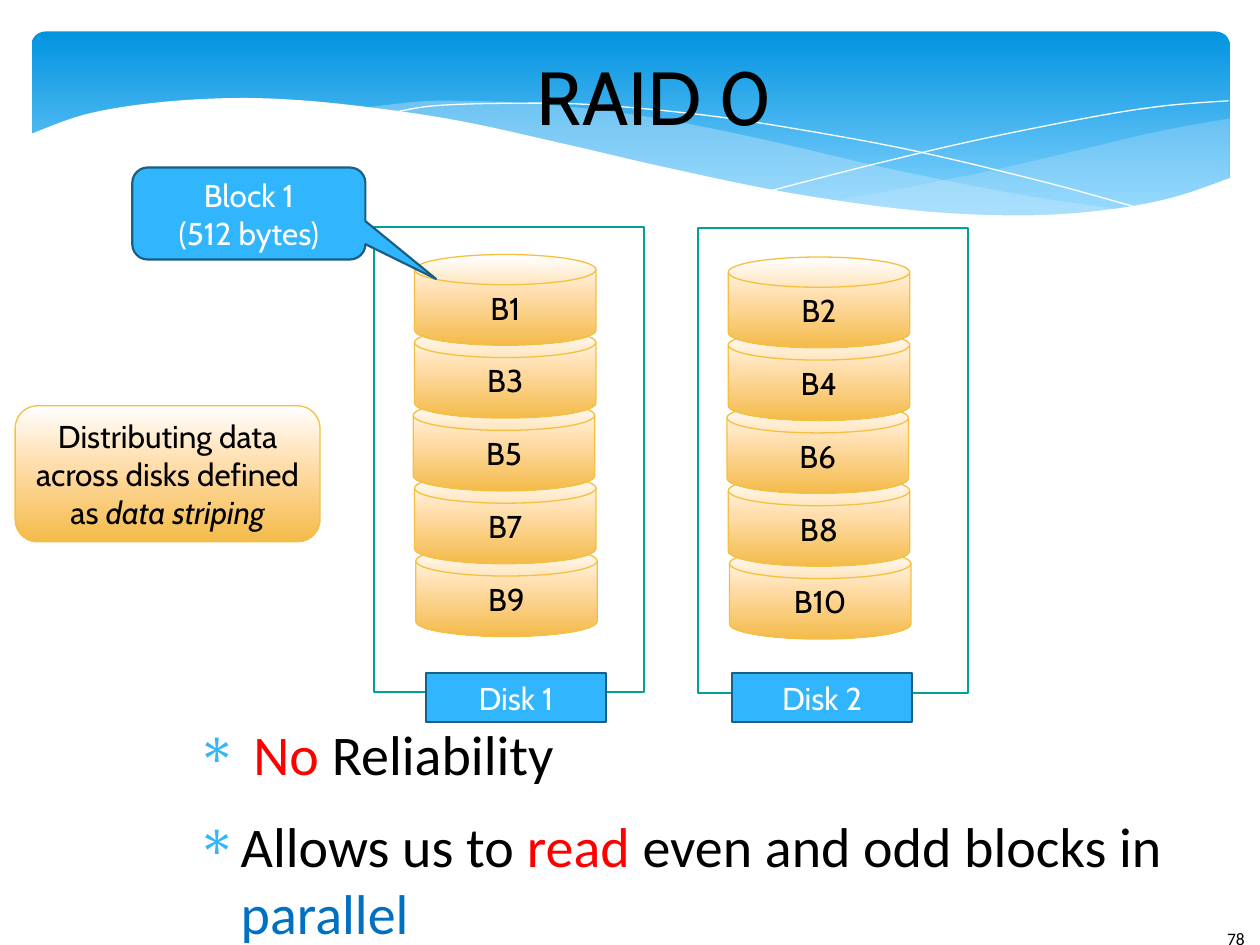
from dataclasses import dataclass
from lxml.etree import SubElement
from pptx import Presentation
from pptx.dml.color import RGBColor
from pptx.enum.shapes import MSO_SHAPE as Kind
from pptx.enum.text import MSO_ANCHOR, PP_ALIGN
from pptx.oxml.ns import qn
from pptx.util import Inches, Pt


@dataclass(frozen=True)
class Theme:
    """Colours, fonts and type sizes of the slide."""
    black: str = "000000"
    white: str = "FFFFFF"
    red: str = "FF0000"
    blue: str = "0070C0"
    sky: str = "31B6FD"
    navy: str = "195F84"
    teal: str = "049E9B"
    gold: str = "F5C040"
    mist: str = "C6E7FC"
    amber: tuple = ((0, "FFFFFF"), (44, "FFDDAA"), (100, "F4BB4A"))
    band: tuple = ((0, "0293E0"), (90, "83D3FE"))
    head: str = "Cabin"
    body: str = "Calibri"
    title: float = 42.9
    list: float = 32
    label: float = 18
    page: float = 10


T = Theme()
COLS, ROWS = 100, 75
WIDE, HIGH = Inches(10), Inches(7.5)


def grid(col, row):
    """Turn columns and rows into slide lengths."""
    return round(WIDE * col / COLS), round(HIGH * row / ROWS)


def frame(box):
    """Turn a grid box into left, top, width and height."""
    return *grid(*box[:2]), *grid(*box[2:])


def fade(shape, stops):
    """Fill a shape with a gradient running downwards."""
    shape.fill.gradient()
    shape.fill.gradient_angle = 270
    bag = shape._element.spPr.find(".//" + qn("a:gsLst"))
    for old in list(bag):
        bag.remove(old)
    for pos, tint in stops:
        stop = SubElement(bag, qn("a:gs"), pos=str(pos * 1000))
        SubElement(stop, qn("a:srgbClr"), val=tint)


def paint(shape, fill=None, line=None, width=0, alpha=None):
    """Set the fill, outline and shadow of a shape."""
    shape.shadow.inherit = False
    if isinstance(fill, tuple):
        fade(shape, fill)
    elif fill:
        shape.fill.solid()
        shape.fill.fore_color.rgb = RGBColor.from_string(fill)
    else:
        shape.fill.background()
    if alpha:
        tint = shape._element.spPr.find(qn("a:solidFill"))[0]
        SubElement(tint, qn("a:alpha"), val=str(alpha * 1000))
    if line:
        shape.line.color.rgb = RGBColor.from_string(line)
        shape.line.width = Pt(width)
    else:
        shape.line.fill.background()


def style(font, size, face, tint):
    """Set size, face and colour of a font."""
    font.size, font.name = Pt(size), face
    font.color.rgb = RGBColor.from_string(tint)


def write(shape, lines, size, face, tint, align=PP_ALIGN.CENTER):
    """Write one paragraph per line."""
    text = shape.text_frame
    text.word_wrap = True
    text.vertical_anchor = MSO_ANCHOR.MIDDLE
    text.text = "\n".join(lines)
    for par in text.paragraphs:
        par.alignment = align
        style(par.font, size, face, tint)


def block(slide, kind, box, fill, line=None, width=0, lines=(), tint=T.black, adj=()):
    """Add a preset shape with an optional label."""
    shape = slide.shapes.add_shape(kind, *frame(box))
    for i, val in enumerate(adj):
        shape.adjustments[i] = val
    paint(shape, fill, line, width)
    if lines:
        write(shape, lines, T.label, T.head, tint)
    return shape


def label(slide, box, margin=None):
    """Add a wrapping text box."""
    shape = slide.shapes.add_textbox(*frame(box))
    text = shape.text_frame
    text.word_wrap = True
    if margin is not None:
        text.margin_left = text.margin_right = margin
        text.margin_top = text.margin_bottom = margin
    return shape


def bend(knots, steps=6):
    """Sample a smooth curve through the knots."""
    ends = [knots[0], *knots, knots[-1]]
    path = [knots[0]]
    for a, b, c, d in zip(ends, ends[1:], ends[2:], ends[3:]):
        for t in (i / steps for i in range(1, steps + 1)):
            path.append(tuple(
                q + t / 2 * (r - p + t * (2 * p - 5 * q + 4 * r - s + t * (3 * q - p - 3 * r + s)))
                for p, q, r, s in zip(a, b, c, d)))
    return path


def wave(slide, *curves, fill=None, line=None, alpha=None):
    """Draw smooth curves joined at corners."""
    first, *rest = [grid(*spot) for knots in curves for spot in bend(knots)]
    pen = slide.shapes.build_freeform(*first)
    pen.add_line_segments(rest, close=fill is not None)
    paint(pen.convert_to_shape(), fill, line, 0, alpha)


def banner(slide):
    """Draw the blue band and its waves."""
    block(slide, Kind.ROUNDED_RECTANGLE, (2.5, 2.5, 95.1, 15.6), T.band, adj=[0.071])
    wave(slide,
         [(97.6, 9.4), (92.1, 10.4), (86.1, 11.8), (77.9, 13.7), (66.1, 16)],
         [(66.1, 16), (71.9, 16.7), (76.9, 17.1), (81.4, 17.2), (86.3, 17),
          (90.5, 16.3), (94.2, 15.4), (97.6, 14.1)], fill=T.mist, alpha=29)
    wave(slide,
         [(89.3, 16.7), (80.7, 15.4), (70.6, 13.4), (62.9, 11.6), (55.5, 10),
          (48.9, 8.9), (42, 8.2), (36.1, 8), (32.8, 8.1), (28.6, 8.6)],
         [(28.6, 8.6), (36.2, 9.7), (44.9, 11.6), (56.6, 14.3), (65, 15.8),
          (72.2, 16.8), (78.5, 17.2), (83.8, 17.2), (89.3, 16.7)], fill=T.mist, alpha=40)
    wave(slide, [(30.9, 9), (34.4, 8.4), (40.1, 8.2), (46.9, 8.3), (55.6, 9.1),
                 (63.6, 10.3), (72.7, 12), (83.1, 14.5), (90.7, 16.6)], line=T.white)
    wave(slide, [(61.3, 15.1), (69.5, 13), (77.6, 11.1), (86.6, 9.3),
                 (92.4, 8.4), (97.5, 8)], line=T.white)
    wave(slide,
         [(97.7, 14.1), (93, 15.7), (87.5, 16.7), (80.9, 17.1), (72.6, 16.7),
          (62.6, 15.3), (52.9, 13.3), (44.7, 11.4), (36.5, 9.6), (29.2, 8.5),
          (23, 7.9), (17.7, 7.8), (11.9, 8.2), (6.7, 9.1), (2.3, 10.7)],
         [(2.3, 22.4), (97.7, 22.4)], fill=T.white)


def disk(slide, left, top, first):
    """Stack five blocks, bottom one first."""
    nudge = (0, 0, -0.1, 0, 0.1)
    for row in reversed(range(5)):
        block(slide, Kind.FLOWCHART_MAGNETIC_DISK,
              (left + nudge[row], top + 5.78 * row, 14.4, 7.2),
              T.amber, T.gold, 0.75, [f"B{first + 2 * row}"])


def point(text, par, runs):
    """Write one bulleted paragraph of coloured runs."""
    prop = par._p.get_or_add_pPr()
    prop.set("marL", str(Inches(0.47)))
    prop.set("indent", str(Inches(-0.35)))
    SubElement(SubElement(prop, qn("a:buClr")), qn("a:srgbClr"), val=T.sky)
    SubElement(prop, qn("a:buFont"), typeface="Symbol")
    SubElement(prop, qn("a:buChar"), char="∗")
    par.space_after = Pt(14.1)
    style(par.font, T.list, T.body, T.black)
    for words, tint in runs:
        if words == "\n":
            par.add_line_break()
            continue
        run = par.add_run()
        run.text = words
        style(run.font, T.list, T.body, tint)


def points(slide):
    """Add the bulleted list."""
    text = label(slide, (14.4, 57.1, 87.6, 15.1), 0).text_frame
    point(text, text.paragraphs[0], [(" ", T.black), ("No", T.red), (" Reliability", T.black)])
    point(text, text.add_paragraph(), [
        ("Allows us to ", T.black), ("read", T.red), (" even and odd blocks in ", T.black),
        ("\n", None), ("parallel", T.blue)])


def main():
    """Build and save the slide."""
    deck = Presentation()
    deck.slide_width, deck.slide_height = WIDE, HIGH
    slide = deck.slides.add_slide(deck.slide_layouts[6])
    banner(slide)
    write(label(slide, (96.4, 72.5, 6.1, 4)), ["78"], T.page, T.body, T.black, PP_ALIGN.LEFT)
    for num, (case, stack, tag, top) in enumerate(
            [(29.7, 32.9, 33.8, 18), (55.4, 57.8, 58.1, 18.1)], 1):
        block(slide, Kind.FLOWCHART_PROCESS, (case, top, 21.4, 36.9), T.white, T.teal, 1.25)
        disk(slide, stack, 20 + 0.2 * num, num)
        block(slide, Kind.FLOWCHART_PROCESS, (tag, 53.4, 14.3, 3.9),
              T.sky, T.navy, 1.25, [f"Disk {num}"], T.white)
    write(label(slide, (11.4, 2.5, 81.1, 10.2), 0), ["RAID 0"], T.title, T.head, T.black)
    points(slide)
    block(slide, Kind.ROUNDED_RECTANGULAR_CALLOUT, (10.5, 13.3, 18.5, 7.3), T.sky, T.navy,
          1.25, ["Block 1", "(512 bytes)"], T.white, [0.803, 0.711, 0.167])
    note = block(slide, Kind.ROUNDED_RECTANGLE, (1.2, 32.2, 24.2, 10.8), T.amber, T.gold,
                 0.75, ["Distributing data across disks defined as "])
    run = note.text_frame.paragraphs[0].add_run()
    run.text, run.font.italic = "data striping", True
    deck.save("out.pptx")


if __name__ == "__main__":
    main()
